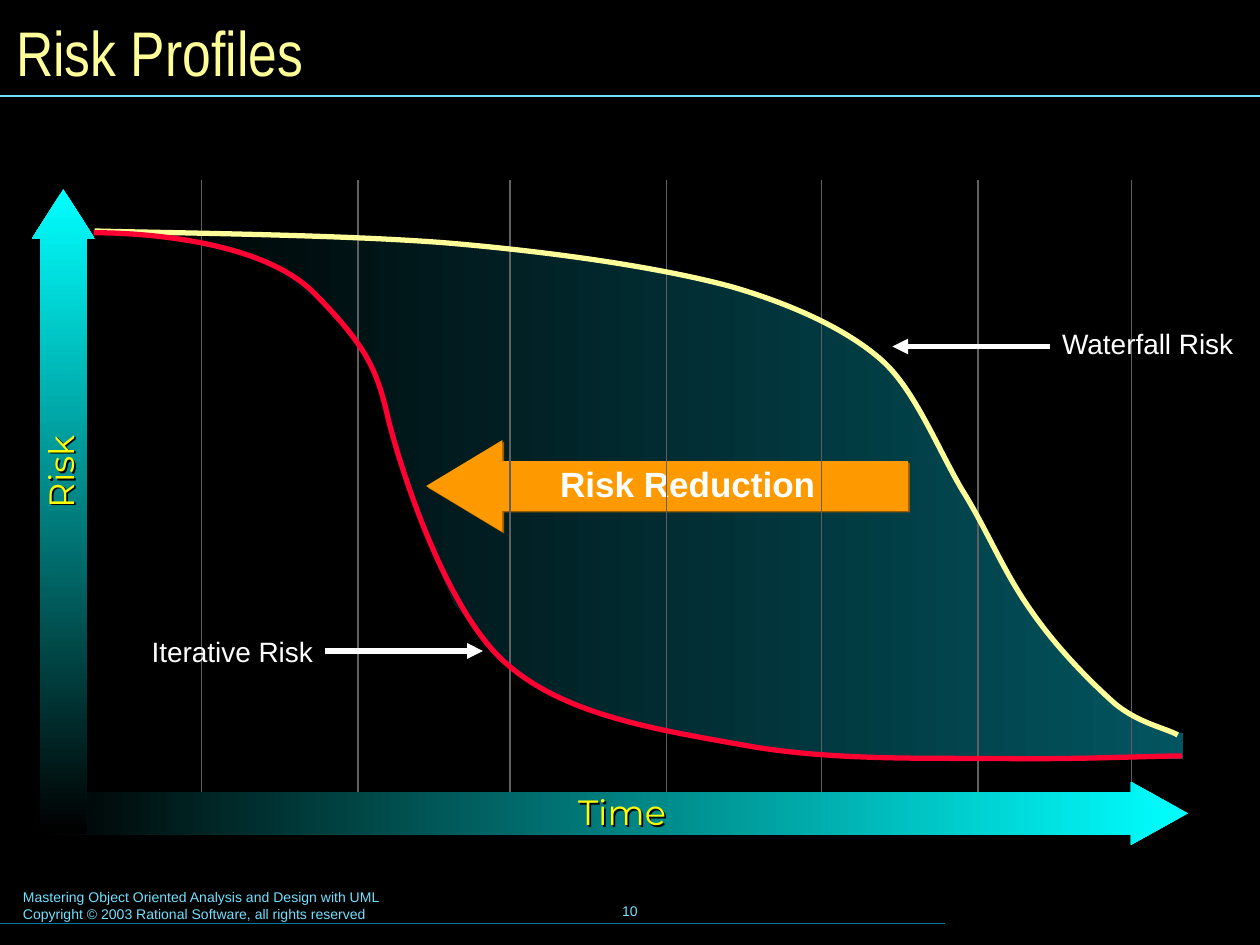
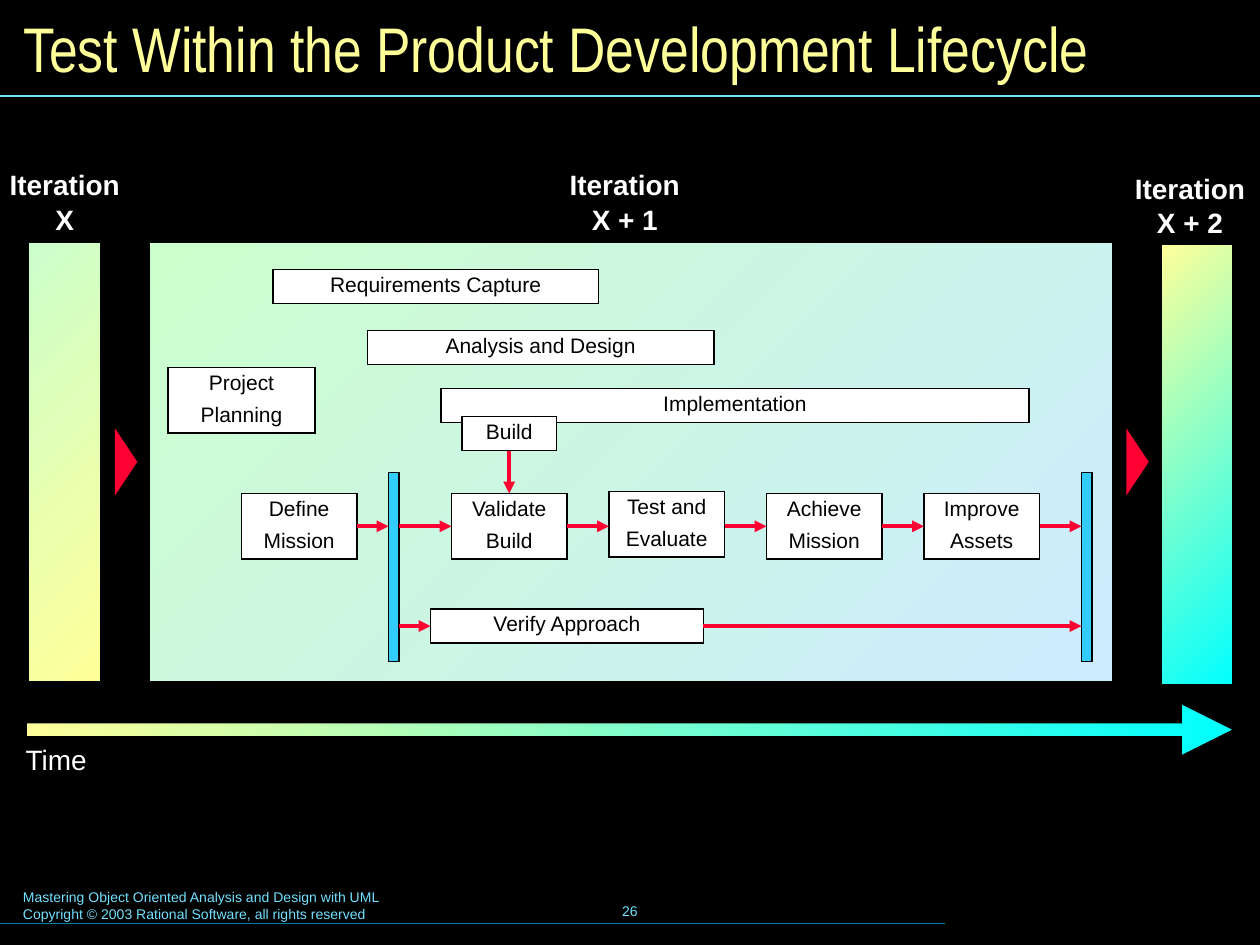
from lxml import etree
from pptx import Presentation
from pptx.dml.color import RGBColor
from pptx.enum.shapes import MSO_CONNECTOR, MSO_SHAPE
from pptx.enum.text import MSO_ANCHOR, PP_ALIGN
from pptx.oxml.ns import qn
from pptx.util import Pt

RECTANGLE = MSO_SHAPE.RECTANGLE
RIGHT_ARROW = MSO_SHAPE.RIGHT_ARROW
LEFT_ARROW = MSO_SHAPE.LEFT_ARROW
UP_ARROW = MSO_SHAPE.UP_ARROW
TRIANGLE = MSO_SHAPE.ISOSCELES_TRIANGLE
STRAIGHT = MSO_CONNECTOR.STRAIGHT
LEFT, CENTER = PP_ALIGN.LEFT, PP_ALIGN.CENTER
TOP, MIDDLE = MSO_ANCHOR.TOP, MSO_ANCHOR.MIDDLE
SIDE_TOP, SIDE_LEFT, SIDE_BOTTOM, SIDE_RIGHT = range(4)


class Theme:
    black = "000000"
    white = "FFFFFF"
    pale_yellow = "FFFF99"
    yellow = "FFFF00"
    sky = "73E1FF"
    deep_sky = "007E9F"
    cyan = "00FFFF"
    bar_blue = "33CCFF"
    ice = "CCECFF"
    mint = "CCFFCC"
    teal = "025560"
    grey = "5F5F5F"
    orange = "FF9900"
    brown = "985B00"
    red = "FF0033"
    body_font = "Arial"
    title_font = "Arial Narrow"
    axis_font = "Montserrat"
    title_size = 36
    axis_size = 20
    label_size = 16
    step_size = 12
    footer_size = 8


def add_box(page, at, lines=(), preset=None, fill=None, angle=0, line=None, line_width=0.75,
            adjust=(), rotation=0, size=Theme.label_size, colour=Theme.white,
            font=Theme.body_font, bold=False, align=CENTER, anchor=TOP,
            insets=(8.64, 4.32), spacing=None, before=0):
    area = [Pt(value) for value in at]
    if preset is None:
        box = page.shapes.add_textbox(*area)
    else:
        box = page.shapes.add_shape(preset, *area)
        box.shadow.inherit = False
        for index, value in enumerate(adjust):
            box.adjustments[index] = value
        if isinstance(fill, tuple):
            box.fill.gradient()
            box.fill.gradient_angle = angle
            for stop, stop_colour in zip(box.fill.gradient_stops, fill):
                stop.color.rgb = RGBColor.from_string(stop_colour)
        else:
            box.fill.solid()
            box.fill.fore_color.rgb = RGBColor.from_string(fill)
        if line:
            box.line.color.rgb = RGBColor.from_string(line)
            box.line.width = Pt(line_width)
            etree.SubElement(box._element.spPr.find(qn("a:ln")), qn("a:miter"), lim="800000")
        else:
            box.line.fill.background()
    box.rotation = rotation
    if lines:
        frame = box.text_frame
        frame.word_wrap = True
        frame.vertical_anchor = anchor
        frame.margin_left = frame.margin_right = Pt(insets[0])
        frame.margin_top = frame.margin_bottom = Pt(insets[1])
        frame.text = "\n".join(lines)
        for index, para in enumerate(frame.paragraphs):
            para.alignment = align
            if spacing:
                para.line_spacing = spacing
            if index and before:
                para.space_before = Pt(before)
            for span in para.runs:
                span.font.name = font
                span.font.size = Pt(size)
                span.font.bold = bold
                span.font.color.rgb = RGBColor.from_string(colour)
    return box


def add_line(page, start, end, colour, width, arrow=False):
    connector = page.shapes.add_connector(STRAIGHT, *[Pt(value) for value in (*start, *end)])
    connector.line.color.rgb = RGBColor.from_string(colour)
    connector.line.width = Pt(width)
    properties = connector._element.spPr
    if arrow:
        etree.SubElement(properties.find(qn("a:ln")), qn("a:tailEnd"), type="triangle")
    etree.SubElement(properties, qn("a:effectLst"))
    return connector


deck = Presentation()
deck.slide_width, deck.slide_height = Pt(720), Pt(540)
backdrop = deck.slide_master.background.fill
backdrop.solid()
backdrop.fore_color.rgb = RGBColor.from_string(Theme.black)

footer = ("Mastering Object Oriented Analysis and Design with UML",
          "Copyright © 2003 Rational Software, all rights reserved")
pages = []
for title, number, title_at, title_insets, title_anchor in (
    ("Risk Profiles", "10", (5, 6.4, 708, 47), (4.32, 1.44), TOP),
    ("Test Within the Product Development Lifecycle", "26", (6.25, 6, 708, 42), (7.2, 3.6), MIDDLE),
):
    page = deck.slides.add_slide(deck.slide_layouts[6])
    add_box(page, (246, 502.5, 228, 36), (number,), size=Theme.footer_size,
            colour=Theme.sky, anchor=MIDDLE, insets=(7.2, 3.6))
    add_line(page, (0, 527.8), (540, 527.8), Theme.deep_sky, 0.75)
    add_line(page, (0, 54.8), (720, 54.8), Theme.sky, 0.75)
    add_box(page, (6, 504.3, 367, 26.5), footer, size=Theme.footer_size,
            colour=Theme.sky, align=LEFT, insets=(7.2, 3.6))
    add_box(page, title_at, (title,), size=Theme.title_size, colour=Theme.pale_yellow,
            font=Theme.title_font, align=LEFT, anchor=title_anchor, insets=title_insets)
    pages.append(page)
risk_page, test_page = pages

curves = {
    "reduction area": [
        (223, 245.5), (222, 239, 218, 220, 212.5, 208), (190, 178), (167, 160.5),
        (147, 147), (121, 139.5), (60, 132), (206, 135.5), (292, 143), (355.5, 151),
        (410.5, 161), (454.5, 176.5), (469, 183.5, 487, 191.5, 499.5, 203),
        (513.5, 214.5, 520.5, 227, 532, 246), (568, 315.5), (590.5, 352), (614, 380),
        (640, 405.5), (665.5, 417), (676, 419), (676, 434), (561, 434), (489, 433.5),
        (438.5, 427), (382.5, 419), (324, 402), (288.5, 378.5), (260, 345.5),
        (246, 313), (234, 278.5)],
    "waterfall": [
        (54, 132), (88, 133, 196.5, 134, 257, 139), (321, 144.5, 380, 153.5, 418.5, 164),
        (456, 175, 485.5, 189.5, 504, 206), (522.5, 222.5, 535.5, 255.5, 549.5, 279.5),
        (564, 302.5, 573, 326, 588.5, 348), (603.5, 370, 623, 389.5, 637, 402),
        (651, 413.5, 666, 416, 673, 420)],
    "iterative": [
        (53.5, 133), (80, 133, 150, 137, 180, 168), (210, 198.5, 215.5, 211.5, 222, 240),
        (229, 268, 254, 347, 288, 378), (322, 409, 376, 417, 426, 426),
        (476, 435, 534, 433, 575.5, 433.5), (616.5, 434, 658, 432, 675.5, 432)],
}
outlines = {}
for name, (start, *segments) in curves.items():
    points = [(Pt(segment[index]), Pt(segment[index + 1]))
              for segment in segments for index in range(0, len(segment), 2)]
    builder = risk_page.shapes.build_freeform(Pt(start[0]), Pt(start[1]))
    builder.add_line_segments(points, close=name == "reduction area")
    outline = builder.convert_to_shape()
    outline.shadow.inherit = False
    steps = iter(list(outline._element.iter(qn("a:lnTo"))))
    for segment in segments:
        first = next(steps)
        if len(segment) == 6:
            first.tag = qn("a:cubicBezTo")
            for control in (next(steps), next(steps)):
                first.append(control[0])
                control.getparent().remove(control)
    outlines[name] = outline

area = outlines["reduction area"]
area.fill.gradient()
area.fill.gradient_angle = 180
for stop, stop_colour in zip(area.fill.gradient_stops, (Theme.teal, Theme.black)):
    stop.color.rgb = RGBColor.from_string(stop_colour)
area.line.fill.background()

reduction = add_box(risk_page, (243.5, 251.5, 275.5, 52.5), ("Risk Reduction",), LEFT_ARROW,
                    Theme.orange, adjust=(0.54, 0.83), size=Theme.axis_size, bold=True,
                    anchor=MIDDLE, insets=(7.2, 3.6), spacing=0.9)

for x in (115.2, 204.5, 291.6, 380.9, 469.4, 558.7, 646.6):
    add_line(risk_page, (x, 457), (x, 103), Theme.grey, 1)

shadows = [(reduction._element.spPr.find(qn("a:effectLst")), Theme.brown)]
for label, preset, arrow_at, angle, adjust, label_at, rotation in (
    ("Time", RIGHT_ARROW, (23.5, 446.8, 655.5, 36), 180, (0.67, 0.91), (46.5, 451.5, 618, 28), 0),
    ("Risk", UP_ARROW, (18.2, 108, 36, 368.5), 270, (0.73, 0.79), (-6.5, 255.5, 85.5, 28), 270),
):
    add_box(risk_page, arrow_at, (), preset, (Theme.cyan, Theme.black), angle, adjust=adjust)
    axis_label = add_box(risk_page, label_at, (label,), rotation=rotation, size=Theme.axis_size,
                         colour=Theme.yellow, font=Theme.axis_font, insets=(6.48, 2.88),
                         spacing=0.9)
    effects = etree.SubElement(axis_label._element.spPr, qn("a:effectLst"))
    shadows.append((effects, Theme.black))

for effects, colour in shadows:
    shadow = etree.SubElement(effects, qn("a:outerShdw"), dist=str(Pt(1.4)), dir="2700000")
    etree.SubElement(shadow, qn("a:srgbClr"), val=colour)

for label, label_at, start, end in (
    ("Waterfall Risk", (598.3, 182.4, 120, 28), (600, 198), (510, 198)),
    ("Iterative Risk", (78, 358.2, 115, 28), (186, 372), (276, 372)),
):
    add_box(risk_page, label_at, (label,), align=LEFT)
    add_line(risk_page, start, end, Theme.white, 3, arrow=True)

for name, colour in (("waterfall", Theme.pale_yellow), ("iterative", Theme.red)):
    curve = outlines[name]
    risk_page.shapes._spTree.append(curve._element)
    curve.fill.background()
    curve.line.color.rgb = RGBColor.from_string(colour)
    curve.line.width = Pt(3)

for name, panel_at, colours, label_at in (
    ("X + 1", (85, 138, 551, 252), (Theme.ice, Theme.mint), (312, 100, 90, 37.5)),
    ("X", (16, 138, 42, 252), (Theme.pale_yellow, Theme.mint), (-12, 100, 98, 37.5)),
    ("X + 2", (663, 139.5, 42, 252), (Theme.cyan, Theme.pale_yellow), (634, 102, 92, 37.5)),
):
    add_box(test_page, panel_at, (), RECTANGLE, colours, 135, Theme.black, 1.5)
    add_box(test_page, label_at, ("Iteration", name), bold=True, spacing=0.5, before=10)

add_box(test_page, (15, 402, 690, 30), (), RIGHT_ARROW, (Theme.cyan, Theme.pale_yellow), 180,
        Theme.black, adjust=(0.27, 1))
add_box(test_page, (6, 420, 54, 28), ("Time",), align=LEFT)
for x in (54, 632):
    add_box(test_page, (x, 258, 36, 12), (), TRIANGLE, Theme.red, line=Theme.red, rotation=90)
for x in (222, 618):
    add_box(test_page, (x, 270, 6, 108), (), RECTANGLE, Theme.bar_blue, line=Theme.black)

activities = [
    (156, 154, 186, 19.5, "Requirements Capture"),
    (210, 189, 198, 19.5, "Analysis and Design"),
    (252, 222, 336, 19.5, "Implementation"),
    (264, 238, 54, 19.5, "Build"),
    (96, 210, 84, 37.5, "Project", "Planning"),
    (138, 282, 66, 37.5, "Define", "Mission"),
    (258, 282, 66, 37.5, "Validate", "Build"),
    (348, 280.8, 66, 37.5, "Test and", "Evaluate"),
    (438, 282, 66, 37.5, "Achieve", "Mission"),
    (528, 282, 66, 37.5, "Improve", "Assets"),
    (246, 348, 156, 19.5, "Verify Approach"),
]
boxes = {}
for x, y, width, height, *words in activities:
    boxes[" ".join(words)] = add_box(
        test_page, (x, y, width, height), words, RECTANGLE, Theme.white, line=Theme.black,
        size=Theme.step_size, colour=Theme.black, spacing=0.75, before=7.5)

flow_y, verify_y = 300.75, 357.75
links = [
    ("Define Mission", 204, None, 222, flow_y),
    (None, 228, "Validate Build", 258, flow_y),
    ("Validate Build", 324, None, 348, flow_y),
    (None, 414, "Achieve Mission", 438, flow_y),
    ("Achieve Mission", 504, "Improve Assets", 528, flow_y),
    ("Improve Assets", 594, None, 618, flow_y),
    (None, 228, "Verify Approach", 246, verify_y),
    ("Verify Approach", 402, None, 618, verify_y),
]
for begin, start_x, end, end_x, y in links:
    link = add_line(test_page, (start_x, y), (end_x, y), Theme.red, 2.25, arrow=True)
    if begin:
        link.begin_connect(boxes[begin], SIDE_RIGHT)
    if end:
        link.end_connect(boxes[end], SIDE_LEFT)

build_link = add_line(test_page, (291, 257.5), (291, 282), Theme.red, 2.25, arrow=True)
build_link.begin_connect(boxes["Build"], SIDE_BOTTOM)
build_link.end_connect(boxes["Validate Build"], SIDE_TOP)

deck.save("out.pptx")
